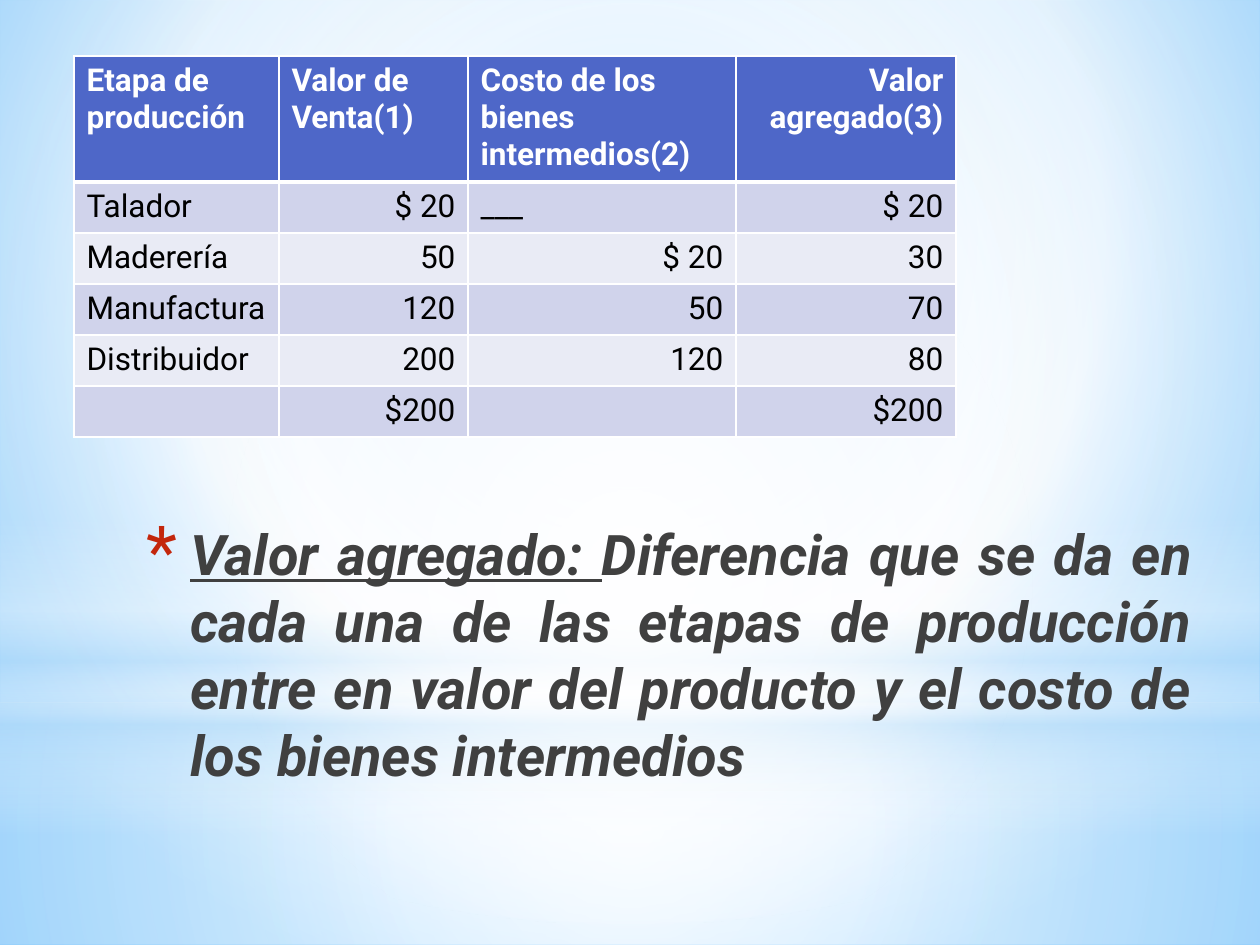
from lxml.etree import SubElement
from pptx import Presentation
from pptx.dml.color import RGBColor
from pptx.enum.shapes import MSO_SHAPE as Shape
from pptx.enum.text import MSO_ANCHOR as Anchor, PP_ALIGN as Align
from pptx.oxml import parse_xml
from pptx.oxml.ns import nsdecls, qn
from pptx.util import Pt

PX = 914400 / 126
WHITE = RGBColor(0xFF, 0xFF, 0xFF)
BLACK = RGBColor(0x00, 0x00, 0x00)
GRAY = RGBColor(0x40, 0x40, 0x40)
RED = RGBColor(0xC3, 0x26, 0x0C)
HEADER = RGBColor(0x4E, 0x67, 0xC8)
BAND_DARK = RGBColor(0xD0, 0xD3, 0xEB)
BAND_LIGHT = RGBColor(0xE9, 0xEB, 0xF5)
SKY = RGBColor(0x9E, 0xD5, 0xFF)
DEEP_SKY = RGBColor(0x5B, 0xB9, 0xFF)
PALE = RGBColor(0xB4, 0xDC, 0xFA)
FONT = "Roboto"
CENTER = (50, 50, 50, 50)


def px(*lengths):
    return [round(length * PX) for length in lengths]


def set_gradient(fill, element, stops, focus=None):
    """Stops are (position %, colour, opacity %); focus makes it radial, else vertical."""
    fill.gradient()
    gradient = next(element.iter(qn("a:gradFill")))
    for child in list(gradient):
        gradient.remove(child)
    stop_list = SubElement(gradient, qn("a:gsLst"))
    for position, color, opacity in stops:
        stop = SubElement(stop_list, qn("a:gs"), pos=str(position * 1000))
        tint = SubElement(stop, qn("a:srgbClr"), val=str(color))
        if opacity < 100:
            SubElement(tint, qn("a:alpha"), val=str(opacity * 1000))
    if focus:
        path = SubElement(gradient, qn("a:path"), path="circle")
        edges = {side: str(inset * 1000) for side, inset in zip("ltrb", focus)}
        SubElement(path, qn("a:fillToRect"), **edges)
    else:
        SubElement(gradient, qn("a:lin"), ang="5400000", scaled="0")


deck = Presentation()
deck.slide_width, deck.slide_height = px(1260, 945)
page = deck.slides.add_slide(deck.slide_layouts[6])

# Background light
set_gradient(page.background.fill, page.element,
             [(0, SKY, 100), (60, WHITE, 100), (100, DEEP_SKY, 100)], (20, 10, 20, 60))
glows = [
    (Shape.RECTANGLE, (0, 703, 1260, 242), CENTER,
     [(0, WHITE, 91), (37, WHITE, 76), (100, PALE, 79)]),
    (Shape.RECTANGLE, (0, 0, 1260, 703), CENTER,
     [(0, WHITE, 89), (48, WHITE, 62), (100, PALE, 79)]),
    (Shape.RECTANGLE, (0, 519, 1260, 315), None,
     [(0, WHITE, 0), (29, WHITE, 30), (45, PALE, 40),
      (55, WHITE, 26), (65, PALE, 60), (100, WHITE, 0)]),
    (Shape.OVAL, (0, 221, 1260, 703), CENTER,
     [(0, WHITE, 100), (56, WHITE, 0)]),
]
for kind, place, focus, stops in glows:
    glow = page.shapes.add_shape(kind, *px(*place))
    glow.shadow.inherit = False
    glow.line.fill.background()
    set_gradient(glow.fill, glow.element, stops, focus)

# Definition
box = page.shapes.add_textbox(*px(134, 513, 1071, 307))
frame = box.text_frame
frame.word_wrap = True
frame.vertical_anchor = Anchor.TOP
para = frame.paragraphs[0]
para.alignment = Align.JUSTIFY
for text, underlined in [
    ("Valor agregado: ", True),
    ("Diferencia que se da en cada una de las etapas de producción "
     "entre en valor del producto y el costo de los bienes intermedios", False),
]:
    span = para.add_run()
    span.text = text
    span.font.name = FONT
    span.font.size = Pt(32)
    span.font.bold = span.font.italic = True
    span.font.underline = underlined
    span.font.color.rgb = GRAY
bullet = para._p.get_or_add_pPr()
indent = px(44)[0]
bullet.set("marL", str(indent))
bullet.set("indent", str(-indent))
bullet_color = SubElement(bullet, qn("a:buClr"))
SubElement(bullet_color, qn("a:srgbClr"), val=str(RED))
SubElement(bullet, qn("a:buSzPct"), val="128000")
SubElement(bullet, qn("a:buFont"), typeface=FONT)
SubElement(bullet, qn("a:buChar"), char="*")

# Value-added table
rows = [
    ("Etapa de producción", "Valor de\nVenta(1)",
     "Costo de los bienes intermedios(2)", "Valor agregado(3)"),
    ("Talador", "$ 20", "___", "$ 20"),
    ("Maderería", "50", "$ 20", "30"),
    ("Manufactura", "120", "50", "70"),
    ("Distribuidor", "200", "120", "80"),
    ("", "$200", "", "$200"),
]
widths = px(205, 189, 268, 220)
heights = px(123, 51, 51, 51, 51, 51)
table = page.shapes.add_table(len(rows), len(widths), *px(74, 56),
                              sum(widths), sum(heights)).table
for column, width in zip(table.columns, widths):
    column.width = width
for r, (row, height) in enumerate(zip(rows, heights)):
    table.rows[r].height = height
    is_header = r == 0
    for c, text in enumerate(row):
        cell = table.cell(r, c)
        cell.text_frame.text = text
        if c == 0:
            cell.margin_right = px(6)[0]
        cell.fill.solid()
        cell.fill.fore_color.rgb = HEADER if is_header else (BAND_LIGHT, BAND_DARK)[r % 2]
        is_right = c == 3 or (not is_header and c > 0 and text != "___")
        for para in cell.text_frame.paragraphs:
            para.alignment = Align.RIGHT if is_right else Align.LEFT
            para.font.name = FONT
            para.font.size = Pt(18)
            for span in para.runs:
                span.font.name = FONT
                span.font.size = Pt(18)
                span.font.bold = is_header
                span.font.color.rgb = WHITE if is_header else BLACK
        props = cell._tc.get_or_add_tcPr()
        for i, side in enumerate("LRTB"):
            is_thick = (r, side) in [(0, "B"), (1, "T")]
            props.insert(i, parse_xml(
                f'<a:ln{side} {nsdecls("a")} w="{Pt(3 if is_thick else 1)}">'
                f'<a:solidFill><a:srgbClr val="{WHITE}"/></a:solidFill></a:ln{side}>'))

deck.save("out.pptx")
